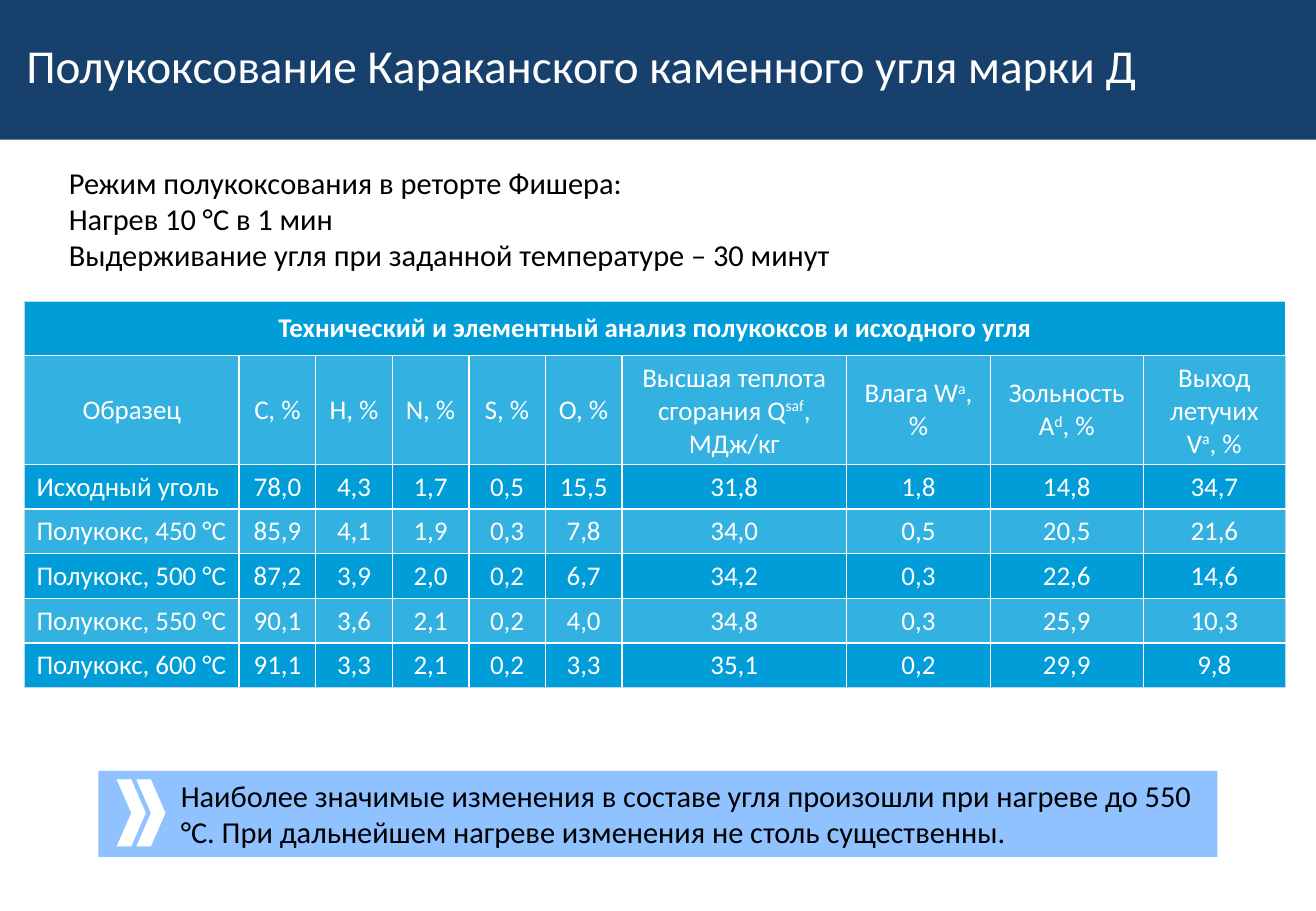
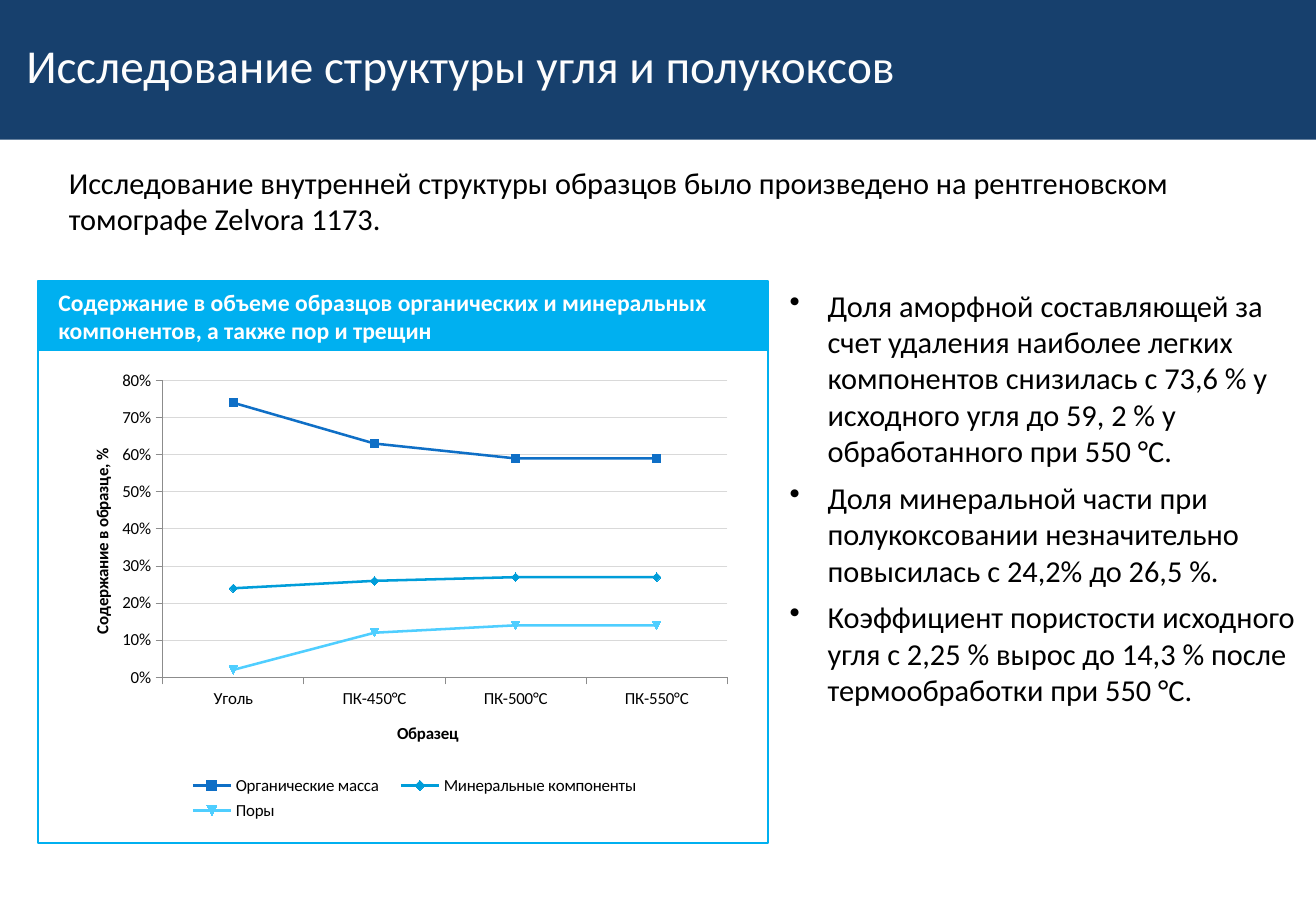
import pptx
import pptx.chart.data
import pptx.dml.color
import pptx.enum.chart
import pptx.enum.shapes
import pptx.enum.text
import pptx.oxml
import pptx.oxml.ns
import pptx.util

Cm = pptx.util.Cm
Pt = pptx.util.Pt
RGBColor = pptx.dml.color.RGBColor
MSO_SHAPE = pptx.enum.shapes.MSO_SHAPE
ALIGN = pptx.enum.text.PP_ALIGN
ANCHOR = pptx.enum.text.MSO_ANCHOR
qn = pptx.oxml.ns.qn

FONT = "Calibri"
NAVY = RGBColor(0x17, 0x40, 0x6D)
TITLE_TEXT = RGBColor(0xFD, 0xFD, 0xFD)
WHITE = RGBColor(0xFF, 0xFF, 0xFF)
BLACK = RGBColor(0, 0, 0)
ROW_DARK = RGBColor(0x00, 0x9D, 0xD9)
ROW_LIGHT = RGBColor(0x33, 0xB1, 0xE1)
TABLE_EDGE = RGBColor(0xBD, 0xD5, 0xED)
CALLOUT = RGBColor(0x8F, 0xC2, 0xFF)
PANEL = RGBColor(0x00, 0xB0, 0xF0)
AXIS = RGBColor(0x8C, 0x8C, 0x8C)
GRID = RGBColor(0xD9, 0xD9, 0xD9)
SERIES_COLORS = (RGBColor(0x0F, 0x6F, 0xC6), ROW_DARK, RGBColor(0x4F, 0xCE, 0xFF))

SLIDE_WIDTH, SLIDE_HEIGHT = 27.51, 19.05
TITLE_HEIGHT = 2.92

COLUMN_WIDTHS = [4.49] + [1.6] * 5 + [4.7, 3, 3.2, 2.97]
ROW_HEIGHTS = [1.13, 2.28] + [0.93] * 5
TABLE_TITLE = "Технический и элементный анализ полукоксов и исходного угля"
TABLE_ROWS = [
    ["Образец", "C, %", "H, %", "N, %", "S, %", "O, %",
     "Высшая теплота сгорания Q^saf^, МДж/кг", "Влага W^a^, %",
     "Зольность A^d^, %", "Выход летучих V^a^, %"],
    ["Исходный уголь", "78,0", "4,3", "1,7", "0,5", "15,5", "31,8", "1,8", "14,8", "34,7"],
    ["Полукокс, 450 °C", "85,9", "4,1", "1,9", "0,3", "7,8", "34,0", "0,5", "20,5", "21,6"],
    ["Полукокс, 500 °C", "87,2", "3,9", "2,0", "0,2", "6,7", "34,2", "0,3", "22,6", "14,6"],
    ["Полукокс, 550 °С", "90,1", "3,6", "2,1", "0,2", "4,0", "34,8", "0,3", "25,9", "10,3"],
    ["Полукокс, 600 °C", "91,1", "3,3", "2,1", "0,2", "3,3", "35,1", "0,2", "29,9", "9,8"],
]

CHART_CATEGORIES = ["Уголь", "ПК-450°С", "ПК-500°С", "ПК-550°С"]
CHART_SERIES = {
    "Органические масса": (0.74, 0.63, 0.59, 0.59),
    "Минеральные компоненты": (0.24, 0.26, 0.27, 0.27),
    "Поры": (0.02, 0.12, 0.14, 0.14),
}


def cm_box(box):
    return [Cm(length) for length in box]


def write_text(frame, *lines, size=18, color=BLACK, bold=False, align=ALIGN.LEFT,
               anchor=ANCHOR.TOP, indent=0, spacing=None, after=None, bullet=None):
    frame.word_wrap = True
    frame.vertical_anchor = anchor
    for number, line in enumerate(lines):
        paragraph = frame.paragraphs[0] if number == 0 else frame.add_paragraph()
        paragraph.alignment = align
        paragraph.line_spacing = spacing
        paragraph.space_after = after
        properties = paragraph._p.get_or_add_pPr()
        properties.set("marL", str(Cm(indent)))
        properties.set("indent", str(-Cm(indent) if bullet else 0))
        if bullet:
            properties.append(pptx.oxml.parse_xml(
                f'<a:buChar {pptx.oxml.ns.nsdecls("a")} char="{bullet}"/>'))
        for part, text in enumerate(line.split("^")):
            run = paragraph.add_run()
            run.text = text
            style_font(run.font, size, color, bold)
            if part % 2:
                run.font._element.set("baseline", "30000")


def style_font(font, size, color, bold=False):
    font.name = FONT
    font.size = Pt(size)
    font.bold = bold
    font.color.rgb = color


def add_box(shapes, box, fill=None, line=None, kind=MSO_SHAPE.RECTANGLE):
    shape = shapes.add_shape(kind, *cm_box(box))
    shape.shadow.inherit = False
    if fill is None:
        shape.fill.background()
    else:
        shape.fill.solid()
        shape.fill.fore_color.rgb = fill
    if line is None:
        shape.line.fill.background()
    else:
        shape.line.color.rgb = line
        shape.line.width = Pt(1)
    return shape


def add_text(slide, box, *lines, **style):
    text_box = slide.shapes.add_textbox(*cm_box(box))
    write_text(text_box.text_frame, *lines, **style)


def add_titled_slide(presentation, title):
    slide = presentation.slides.add_slide(presentation.slide_layouts[6])
    band = add_box(slide.shapes, (0, 0, SLIDE_WIDTH, TITLE_HEIGHT), NAVY)
    write_text(band.text_frame, title, size=28, color=TITLE_TEXT,
               anchor=ANCHOR.MIDDLE, indent=0.3, spacing=0.8)
    return slide


def set_edges(cell, sides):
    properties = cell._tc.get_or_add_tcPr()
    for position, side in enumerate(sides):
        properties.insert(position, pptx.oxml.parse_xml(
            f'<a:ln{side} {pptx.oxml.ns.nsdecls("a")} w="{Pt(0.5)}"><a:solidFill>'
            f'<a:srgbClr val="{TABLE_EDGE}"/></a:solidFill></a:ln{side}>'))


def add_analysis_table(slide, left, top):
    row_count, column_count = len(ROW_HEIGHTS), len(COLUMN_WIDTHS)
    box = (left, top, sum(COLUMN_WIDTHS), sum(ROW_HEIGHTS))
    table = slide.shapes.add_table(row_count, column_count, *cm_box(box)).table
    for column, width in zip(table.columns, COLUMN_WIDTHS):
        column.width = Cm(width)
    for row, height in zip(table.rows, ROW_HEIGHTS):
        row.height = Cm(height)
    table.cell(0, 0).merge(table.cell(0, column_count - 1))
    title_row = [TABLE_TITLE] + [""] * (column_count - 1)
    for row, texts in enumerate([title_row] + TABLE_ROWS):
        for column, text in enumerate(texts):
            cell = table.cell(row, column)
            cell.fill.solid()
            cell.fill.fore_color.rgb = ROW_LIGHT if row % 2 else ROW_DARK
            cell.vertical_anchor = ANCHOR.MIDDLE
            if text:
                sample_name = column == 0 and row > 1
                write_text(cell.text_frame, text, size=16, color=WHITE, bold=row == 0,
                           anchor=None, align=ALIGN.LEFT if sample_name else ALIGN.CENTER)
            edges = {"L": column == 0, "R": column == column_count - 1,
                     "T": row == 0, "B": row == row_count - 1}
            set_edges(cell, [side for side, outer in edges.items() if outer])


def add_callout(slide, box, text):
    left, top, width, height = box
    group = slide.shapes.add_group_shape()
    panel = add_box(group.shapes, box, CALLOUT)
    write_text(panel.text_frame, text, indent=1.47)
    for number in range(2):
        add_box(group.shapes, (left + 0.38 + 0.41 * number, top + 0.18, 0.61, height - 0.4),
                WHITE, kind=MSO_SHAPE.CHEVRON)


def set_layout(element, index, inner=False, **fractions):
    previous = element.find(qn("c:layout"))
    if previous is not None:
        index = element.index(previous)
        element.remove(previous)
    target = '<c:layoutTarget val="inner"/>' if inner else ""
    modes = '<c:xMode val="edge"/><c:yMode val="edge"/>'
    values = "".join(f'<c:{name} val="{value}"/>' for name, value in fractions.items())
    element.insert(index, pptx.oxml.parse_xml(
        f'<c:layout {pptx.oxml.ns.nsdecls("c")}><c:manualLayout>'
        f'{target}{modes}{values}</c:manualLayout></c:layout>'))


def style_axis(axis, title, x, y):
    axis.major_tick_mark = pptx.enum.chart.XL_TICK_MARK.OUTSIDE
    axis.format.line.color.rgb = AXIS
    axis.format.line.width = Pt(0.5)
    style_font(axis.tick_labels.font, 10, BLACK)
    write_text(axis.axis_title.text_frame, title, size=10, bold=True, align=None, anchor=None)
    set_layout(axis.axis_title._element, 1, x=x, y=y)


def add_structure_chart(slide, box):
    data = pptx.chart.data.CategoryChartData(number_format="0%")
    data.categories = CHART_CATEGORIES
    for name, values in CHART_SERIES.items():
        data.add_series(name, values)
    chart = slide.shapes.add_chart(
        pptx.enum.chart.XL_CHART_TYPE.LINE_MARKERS, *cm_box(box), data).chart
    style_font(chart.font, 10, BLACK)
    chart.has_title = False
    chart.plots[0].vary_by_categories = False
    for series, color in zip(chart.plots[0].series, SERIES_COLORS):
        series.smooth = False
        series.format.line.color.rgb = color
        series.format.line.width = Pt(1.5)
        series.marker.size = 5
        series.marker.format.fill.solid()
        series.marker.format.fill.fore_color.rgb = color
        series.marker.format.line.color.rgb = color

    style_axis(chart.category_axis, "Образец", 0.49, 0.77)
    value_axis = chart.value_axis
    style_axis(value_axis, "Содержание в образце, %", 0.04, 0.18)
    value_axis.axis_title.text_frame._txBody.bodyPr.set("rot", "-5400000")
    value_axis.minimum_scale = 0
    value_axis.maximum_scale = 0.8
    value_axis.major_unit = 0.1
    value_axis.tick_labels.number_format = "0%"
    value_axis.tick_labels.number_format_is_linked = False
    value_axis.major_gridlines.format.line.color.rgb = GRID
    value_axis.major_gridlines.format.line.width = Pt(0.5)

    chart.has_legend = True
    chart.legend.position = pptx.enum.chart.XL_LEGEND_POSITION.BOTTOM
    chart.legend.include_in_layout = False
    style_font(chart.legend.font, 10, BLACK)
    set_layout(chart.legend._element, 1, x=0.17, y=0.88, w=0.7, h=0.12)
    plot_area = chart._chartSpace.chart.plotArea
    set_layout(plot_area, 0, inner=True, x=0.15, y=0.04, w=0.83, h=0.64)


def add_chart_panel(slide, box, heading):
    left, top, width, height = box
    heading_height = 1.47
    add_structure_chart(slide, (left + 0.48, top + 1.7, 14.22, 9.7))
    add_box(slide.shapes, box, line=PANEL)
    band = add_box(slide.shapes, (left, top, width, heading_height), PANEL)
    band.text_frame.margin_left = Cm(0.43)
    write_text(band.text_frame, heading, size=14, color=WHITE, bold=True, anchor=ANCHOR.MIDDLE)


def build_analysis_slide(presentation):
    slide = add_titled_slide(presentation, "Полукоксование Караканского каменного угля марки Д")
    add_text(slide, (1.19, 3.3, 23, 2.57),
             "Режим полукоксования в реторте Фишера:",
             "Нагрев 10 °С в 1 мин",
             "Выдерживание угля при заданной температуре – 30 минут")
    add_analysis_table(slide, 0.51, 6.3)
    add_callout(slide, (2.06, 16.12, 23.39, 1.8),
                "Наиболее значимые изменения в составе угля произошли при нагреве до 550 °С. "
                "При дальнейшем нагреве изменения не столь существенны.")


def build_structure_slide(presentation):
    slide = add_titled_slide(presentation, "Исследование структуры угля и полукоксов")
    add_text(slide, (1.19, 3.3, 25.04, 1.8),
             "Исследование внутренней структуры образцов было произведено на "
             "рентгеновском томографе Zelvora 1173.")
    add_chart_panel(slide, (0.79, 5.87, 15.27, 11.76),
                    "Содержание в объеме образцов органических и минеральных компонентов, "
                    "а также пор и трещин")
    add_text(slide, (16.26, 5.87, 11.18, 9.14),
             "Доля аморфной составляющей за счет удаления наиболее легких компонентов "
             "снизилась с 73,6 % у исходного угля до 59, 2 % у обработанного при 550 °С.",
             "Доля минеральной части при полукоксовании незначительно повысилась "
             "с 24,2% до 26,5 %.",
             "Коэффициент пористости исходного угля с 2,25 % вырос до 14,3 % после "
             "термообработки при 550 °С.",
             indent=0.79, bullet="•", after=Pt(6))


def main():
    presentation = pptx.Presentation()
    presentation.slide_width = Cm(SLIDE_WIDTH)
    presentation.slide_height = Cm(SLIDE_HEIGHT)
    build_analysis_slide(presentation)
    build_structure_slide(presentation)
    presentation.save("out.pptx")


if __name__ == "__main__":
    main()
